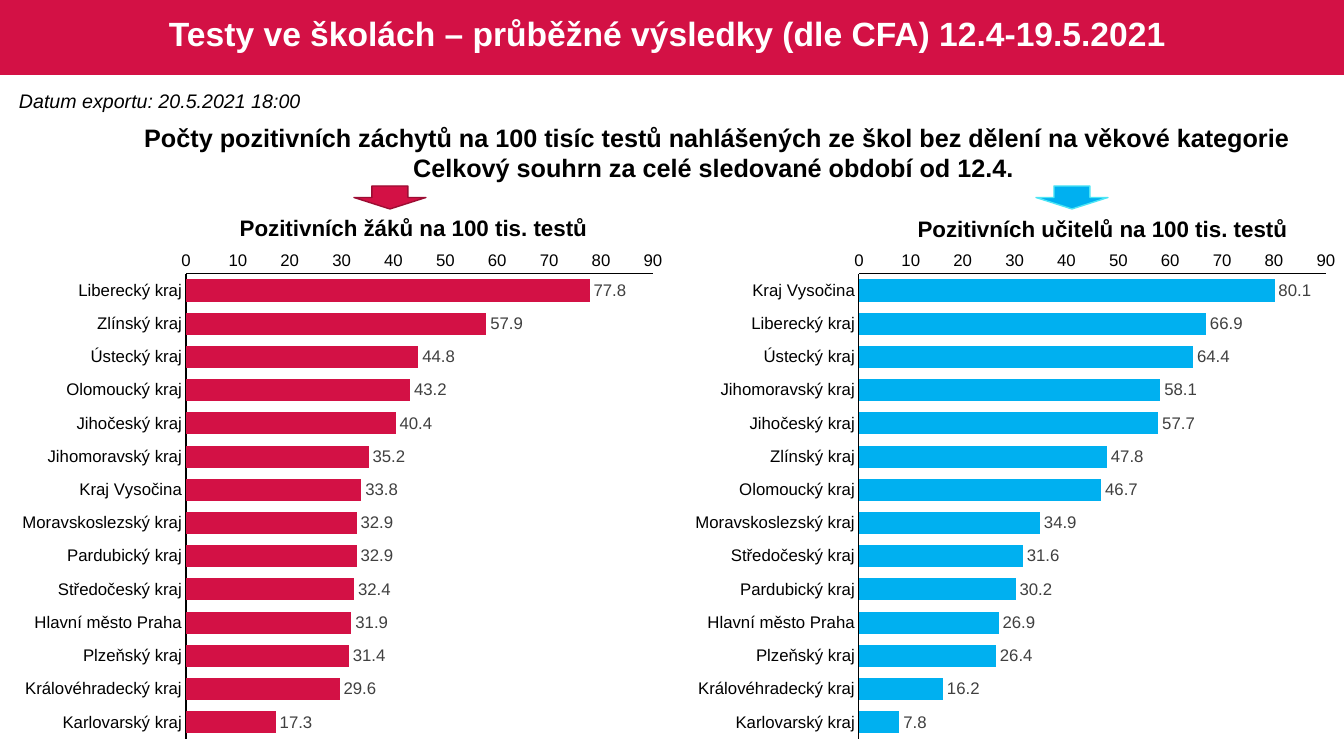
import dataclasses

import lxml.etree
import pptx
import pptx.chart.data
import pptx.dml.color
import pptx.enum.chart
import pptx.enum.shapes
import pptx.enum.text
import pptx.oxml.ns
import pptx.util

SLIDE_WIDTH, SLIDE_HEIGHT = 1344, 756
EMU_PER_PX = 12192000 / SLIDE_WIDTH


@dataclasses.dataclass(frozen=True)
class Theme:
    """Colours, font and type sizes of the slide."""
    font: str = "Arial"
    crimson: str = "D31145"
    crimson_edge: str = "9C0D33"
    blue: str = "00B0F0"
    blue_edge: str = "4DE5F5"
    white: str = "FFFFFF"
    black: str = "000000"
    value_grey: str = "404040"
    title: int = 24
    heading: int = 18
    panel_heading: int = 16
    note: int = 14
    chart: int = 12


@dataclasses.dataclass(frozen=True)
class Panel:
    """Content and styling of one chart panel."""
    heading: str
    heading_box: tuple
    arrow_left: int
    fill: str
    edge: str
    rates: dict


THEME = Theme()

PUPILS = Panel(
    "Pozitivních žáků na 100 tis. testů", (218, 24, 373, 37), 345,
    THEME.crimson, THEME.crimson_edge,
    {"Liberecký kraj": 77.8, "Zlínský kraj": 57.9, "Ústecký kraj": 44.8,
     "Olomoucký kraj": 43.2, "Jihočeský kraj": 40.4, "Jihomoravský kraj": 35.2,
     "Kraj Vysočina": 33.8, "Moravskoslezský kraj": 32.9, "Pardubický kraj": 32.9,
     "Středočeský kraj": 32.4, "Hlavní město Praha": 31.9, "Plzeňský kraj": 31.4,
     "Královéhradecký kraj": 29.6, "Karlovarský kraj": 17.3})

TEACHERS = Panel(
    "Pozitivních učitelů na 100 tis. testů", (223, 25, 395, 37), 354,
    THEME.blue, THEME.blue_edge,
    {"Kraj Vysočina": 80.1, "Liberecký kraj": 66.9, "Ústecký kraj": 64.4,
     "Jihomoravský kraj": 58.1, "Jihočeský kraj": 57.7, "Zlínský kraj": 47.8,
     "Olomoucký kraj": 46.7, "Moravskoslezský kraj": 34.9, "Středočeský kraj": 31.6,
     "Pardubický kraj": 30.2, "Hlavní město Praha": 26.9, "Plzeňský kraj": 26.4,
     "Královéhradecký kraj": 16.2, "Karlovarský kraj": 7.8})


def emu(*lengths):
    """Turn pixel lengths into EMU."""
    return [round(length * EMU_PER_PX) for length in lengths]


def rgb(value):
    """Return a colour object for a hex string."""
    return pptx.dml.color.RGBColor.from_string(value)


def style_font(font, size, color, bold=False, italic=False):
    """Apply the theme font with the given size and colour."""
    font.name = THEME.font
    font.size = pptx.util.Pt(size)
    font.color.rgb = rgb(color)
    font.bold = bold
    font.italic = italic


def add_text(slide, box, lines, size, color=THEME.black, centred=True,
             bold=True, italic=False, middle=False, spacing=1.0):
    """Add a text box with one paragraph per line."""
    frame = slide.shapes.add_textbox(*emu(*box)).text_frame
    frame.word_wrap = False
    if middle:
        frame.vertical_anchor = pptx.enum.text.MSO_ANCHOR.MIDDLE
    frame.text = "\n".join(lines)
    align = pptx.enum.text.PP_ALIGN
    for paragraph in frame.paragraphs:
        paragraph.alignment = align.CENTER if centred else align.LEFT
        paragraph.line_spacing = spacing
        style_font(paragraph.font, size, color, bold, italic)


def add_filled_shape(slide, kind, box, fill, edge=None):
    """Add a flat preset shape with an optional outline."""
    shape = slide.shapes.add_shape(kind, *emu(*box))
    shape.shadow.inherit = False
    shape.fill.solid()
    shape.fill.fore_color.rgb = rgb(fill)
    if edge:
        shape.line.color.rgb = rgb(edge)
        shape.line.width = pptx.util.Pt(1)
    else:
        shape.line.fill.background()


def set_plot_layout(chart, box, plot_box):
    """Fix the inner plot area inside the chart box."""
    _, _, width, height = box
    left, top, plot_width, plot_height = plot_box
    settings = {"layoutTarget": "inner", "xMode": "edge", "yMode": "edge",
                "x": left / width, "y": top / height,
                "w": plot_width / width, "h": plot_height / height}
    qn = pptx.oxml.ns.qn
    plot_area = chart.plots[0]._element.getparent()
    for layout in plot_area.findall(qn("c:layout")):
        plot_area.remove(layout)
    layout = lxml.etree.Element(qn("c:layout"))
    manual = lxml.etree.SubElement(layout, qn("c:manualLayout"))
    for name, value in settings.items():
        text = value if isinstance(value, str) else f"{value:.4f}"
        lxml.etree.SubElement(manual, qn(f"c:{name}")).set("val", text)
    plot_area.insert(0, layout)


def add_rate_chart(slide, box, rates, color):
    """Add a horizontal bar chart of rates by region."""
    enums = pptx.enum.chart
    data = pptx.chart.data.CategoryChartData(number_format="#,##0.0")
    data.categories = list(rates)
    data.add_series("Series 1", list(rates.values()))
    chart = slide.shapes.add_chart(
        enums.XL_CHART_TYPE.BAR_CLUSTERED, *emu(*box), data).chart
    chart.has_legend = False
    chart.has_title = False
    style_font(chart.font, THEME.chart, THEME.black)
    for axis in (chart.category_axis, chart.value_axis):
        axis.has_major_gridlines = False
        axis.major_tick_mark = enums.XL_TICK_MARK.NONE
        axis.minor_tick_mark = enums.XL_TICK_MARK.NONE
        axis.format.line.color.rgb = rgb(THEME.black)
        axis.format.line.width = pptx.util.Pt(0.75)
        style_font(axis.tick_labels.font, THEME.chart, THEME.black)
    chart.category_axis.reverse_order = True
    chart.value_axis.minimum_scale = 0
    chart.value_axis.maximum_scale = 90
    chart.value_axis.major_unit = 10
    chart.value_axis.tick_labels.number_format = "0"
    chart.value_axis.tick_labels.number_format_is_linked = False
    plot = chart.plots[0]
    plot.vary_by_categories = False
    plot.gap_width = 50
    fill = plot.series[0].format.fill
    fill.solid()
    fill.fore_color.rgb = rgb(color)
    plot.has_data_labels = True
    labels = plot.data_labels
    labels.show_value = True
    labels.number_format = "#,##0.0"
    labels.number_format_is_linked = False
    labels.position = enums.XL_LABEL_POSITION.OUTSIDE_END
    style_font(labels.font, THEME.chart, THEME.value_grey)
    set_plot_layout(chart, box, (177, 31, 467, 465))


def add_header(slide, box):
    """Add the title band across the slide."""
    left, top, width, _ = box
    add_filled_shape(slide, pptx.enum.shapes.MSO_SHAPE.RECTANGLE, box, THEME.crimson)
    add_text(slide, (left + 18, top + 4, width - 36, 64),
             ["Testy ve školách – průběžné výsledky (dle CFA) 12.4-19.5.2021 "],
             THEME.title, THEME.white, middle=True, spacing=0.9)


def add_introduction(slide, box):
    """Add the export date and the common chart heading."""
    left, top, width, _ = box
    add_text(slide, (left, top, 303, 34), ["Datum exportu: 20.5.2021 18:00"],
             THEME.note, centred=False, bold=False, italic=True)
    add_text(slide, (left + 120, top + 33, width - 120, 72),
             ["Počty pozitivních záchytů na 100 tisíc testů nahlášených ze škol "
              "bez dělení na věkové kategorie",
              "Celkový souhrn za celé sledované období od 12.4. "], THEME.heading)


def add_panel(slide, box, panel):
    """Add an arrow, a heading and a chart inside one panel box."""
    left, top, width, height = box
    add_rate_chart(slide, (left, top + 57, width, height - 57), panel.rates, panel.fill)
    x, y, heading_width, heading_height = panel.heading_box
    add_text(slide, (left + x, top + y - 1, heading_width, heading_height),
             [panel.heading], THEME.panel_heading)
    add_filled_shape(slide, pptx.enum.shapes.MSO_SHAPE.DOWN_ARROW,
                     (left + panel.arrow_left, top, 72, 23), panel.fill, panel.edge)


def main():
    """Build and save the slide."""
    presentation = pptx.Presentation()
    presentation.slide_width, presentation.slide_height = emu(SLIDE_WIDTH, SLIDE_HEIGHT)
    slide = presentation.slides.add_slide(presentation.slide_layouts[6])
    add_header(slide, (0, 0, SLIDE_WIDTH, 75))
    add_introduction(slide, (9, 84, 1296, 105))
    for left, panel in ((9, PUPILS), (682, TEACHERS)):
        add_panel(slide, (left, 186, 666, 564), panel)
    presentation.save("out.pptx")


if __name__ == "__main__":
    main()
